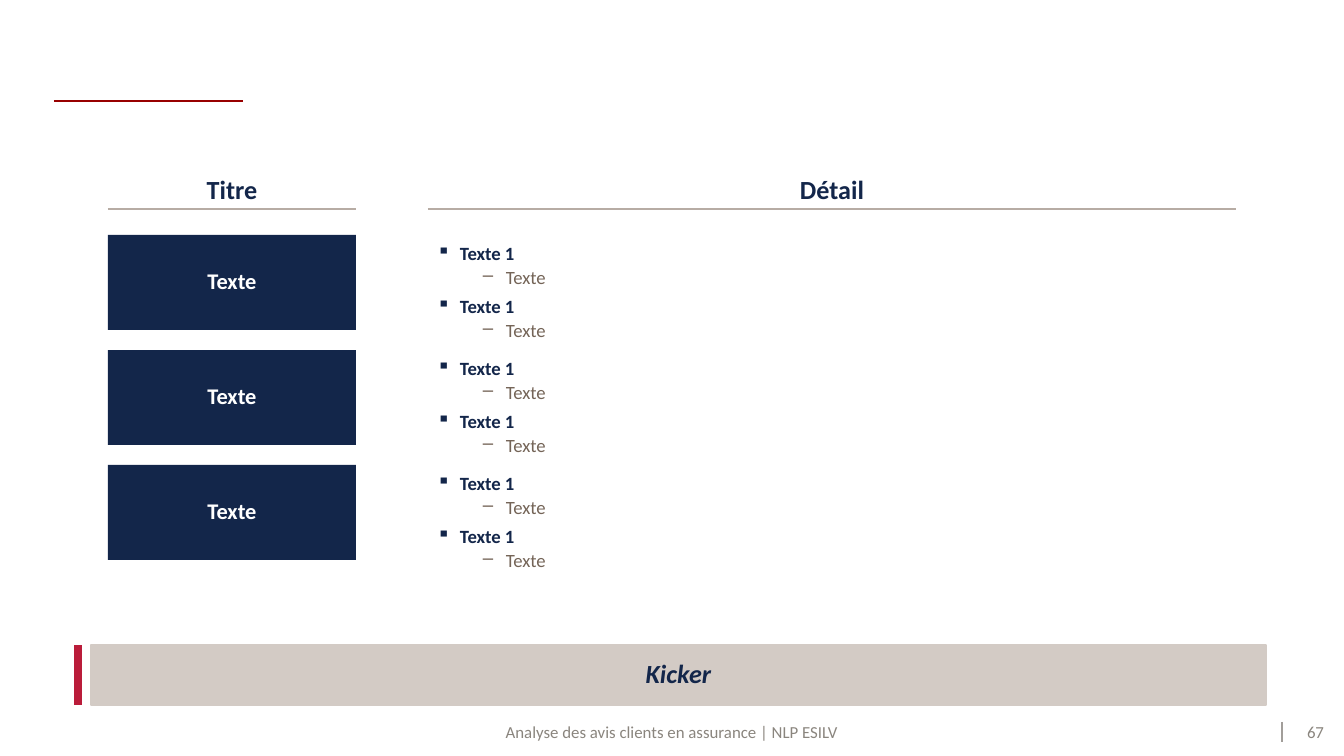
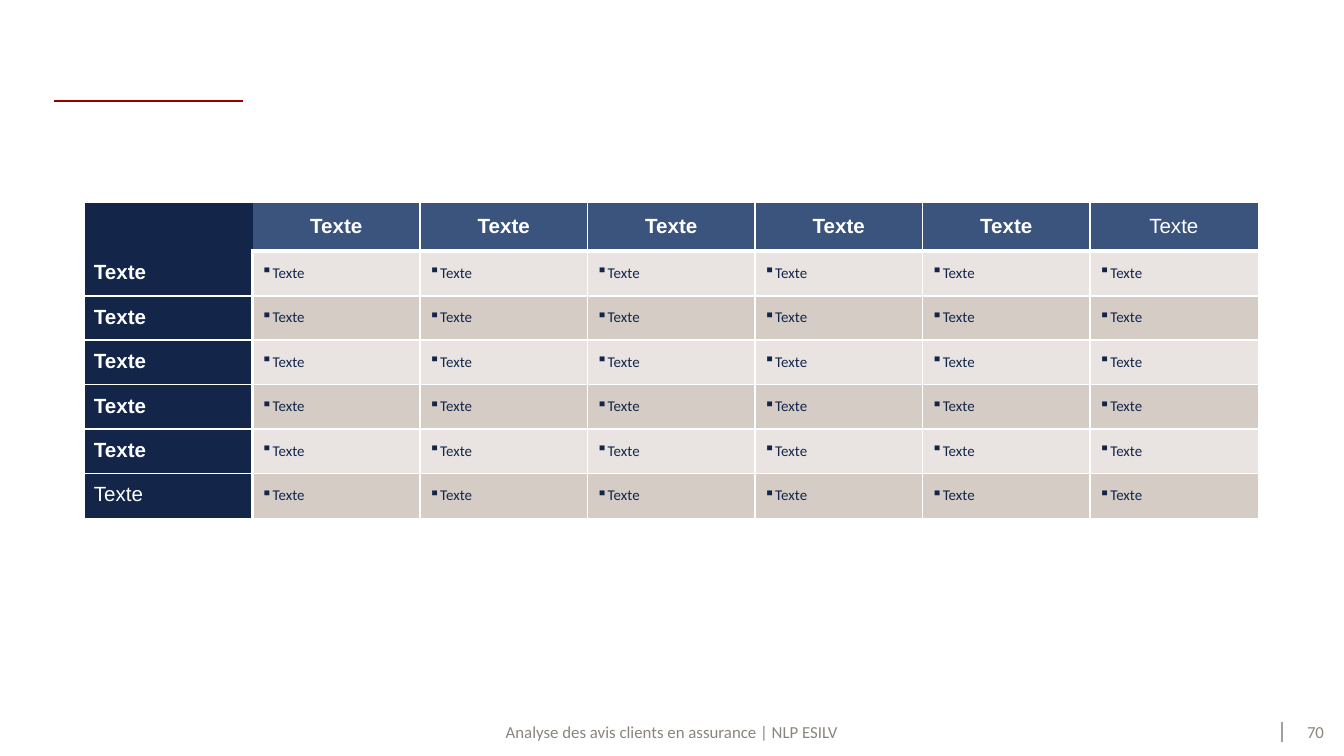
from dataclasses import dataclass

from lxml import etree
from pptx import Presentation
from pptx import util as u
from pptx.dml.color import RGBColor
from pptx.enum import shapes, text
from pptx.oxml.ns import qn

PX = 914400 / 134.4
LEFT, CENTER = text.PP_ALIGN.LEFT, text.PP_ALIGN.CENTER
TOP, MIDDLE, BOTTOM = (text.MSO_ANCHOR.TOP, text.MSO_ANCHOR.MIDDLE,
                       text.MSO_ANCHOR.BOTTOM)


@dataclass(frozen=True)
class Theme:
    navy: str = "13264A"
    blue: str = "3B547D"
    white: str = "FFFFFF"
    red: str = "BA1C3A"
    dark_red: str = "980000"
    sand: str = "D3CBC5"
    taupe: str = "B7ACA4"
    brown: str = "746457"
    footer: str = "8A857E"
    divider: str = "A29E9A"
    bands: tuple = ("E9E4E1", "D5CCC6")
    font: str = "Calibri"
    table_font: str = "Arial"
    heading_size: int = 14
    box_size: int = 12
    label_size: int = 11
    body_size: int = 10
    footer_size: int = 9
    cell_size: int = 8
    line_spacing: float = 0.9


THEME = Theme()


def px(n):
    return u.Emu(round(n * PX))


def rgb(color):
    return RGBColor.from_string(color)


def add_bullet(p, char, color, margin, hanging):
    pPr = p._p.get_or_add_pPr()
    pPr.set("marL", str(px(margin)))
    pPr.set("indent", str(-px(hanging)))
    clr = etree.SubElement(pPr, qn("a:buClr"))
    etree.SubElement(clr, qn("a:srgbClr")).set("val", color)
    etree.SubElement(pPr, qn("a:buChar")).set("char", char)


def write(tf, string, *, size, color, font=THEME.font, bold=False,
          italic=False, align=LEFT, level=0, before=None, bullet=None):
    """Fill the empty first paragraph, or add one; bullet is (char, margin, hanging)."""
    p = tf.paragraphs[0]
    if p.runs:
        p = tf.add_paragraph()
    if bullet:
        char, margin, hanging = bullet
        add_bullet(p, char, color, margin, hanging)
    p.level = level
    p.alignment = align
    p.line_spacing = THEME.line_spacing
    if before:
        p.space_before = u.Pt(before)
    r = p.add_run()
    r.text = string
    r.font.name = font
    r.font.size = u.Pt(size)
    r.font.bold = bold
    r.font.italic = italic
    r.font.color.rgb = rgb(color)


def set_margins(box, insets):
    (box.margin_left, box.margin_top,
     box.margin_right, box.margin_bottom) = map(px, insets)


def set_border(cell, side, width):
    """Draw one white cell edge; a width of 0 hides it."""
    ln = etree.SubElement(cell._tc.get_or_add_tcPr(), qn(f"a:ln{side}"))
    ln.set("w", str(u.Pt(width)))
    if width:
        fill = etree.SubElement(ln, qn("a:solidFill"))
        etree.SubElement(fill, qn("a:srgbClr")).set("val", THEME.white)
    else:
        etree.SubElement(ln, qn("a:noFill"))


class Deck:
    def __init__(self, theme):
        self.theme = theme
        self.prs = Presentation()
        self.prs.slide_width, self.prs.slide_height = px(1344), px(756)
        self.s = None

    def new_slide(self, number):
        t = self.theme
        self.s = self.prs.slides.add_slide(self.prs.slide_layouts[6])
        self.line(54, 101, 243, 101, t.dark_red, 1.25)
        self.line(1282, 722, 1282, 742, t.divider, 0.75)
        for x, w, string in (
                (439, 465, "Analyse des avis clients en assurance | NLP ESILV"),
                (1296, 39, str(number))):
            tf = self.textbox(x, 719, w, 28, (4, 4, 4, 4), MIDDLE)
            tf.auto_size = text.MSO_AUTO_SIZE.SHAPE_TO_FIT_TEXT
            write(tf, string, size=t.footer_size, color=t.footer, align=CENTER)

    def line(self, x1, y1, x2, y2, color, width):
        sp = self.s.shapes.add_connector(
            shapes.MSO_CONNECTOR.STRAIGHT, px(x1), px(y1), px(x2), px(y2))
        sp.line.color.rgb = rgb(color)
        sp.line.width = u.Pt(width)
        etree.SubElement(sp._element.spPr, qn("a:effectLst"))

    def textbox(self, x, y, w, h, insets, anchor=TOP):
        sp = self.s.shapes.add_textbox(px(x), px(y), px(w), px(h))
        tf = sp.text_frame
        tf.word_wrap = True
        tf.vertical_anchor = anchor
        set_margins(tf, insets)
        return tf

    def box(self, x, y, w, h, string, fill, outline=None, **fmt):
        sp = self.s.shapes.add_shape(
            shapes.MSO_SHAPE.RECTANGLE, px(x), px(y), px(w), px(h))
        sp.shadow.inherit = False
        sp.fill.solid()
        sp.fill.fore_color.rgb = rgb(fill)
        if outline:
            sp.line.color.rgb = rgb(outline)
            sp.line.width = u.Pt(0.75)
        else:
            sp.line.fill.background()
        tf = sp.text_frame
        tf.word_wrap = True
        tf.vertical_anchor = MIDDLE
        set_margins(tf, (12, 5, 12, 5))
        write(tf, string, bold=True, align=CENTER, **fmt)

    def column_heading(self, x, w, string):
        t = self.theme
        tf = self.textbox(x, 175, w, 34, (0, 0, 0, 4), BOTTOM)
        write(tf, string, size=t.heading_size, color=t.navy, bold=True,
              align=CENTER)
        self.line(x, 209, x + w, 209, t.taupe, 1.5)

    def details(self, x, y, w, h, items):
        """Bulleted list of (point, sub-point) pairs."""
        t = self.theme
        tf = self.textbox(x, y, w, h, (9, 9, 9, 9))
        for i, (point, sub) in enumerate(items):
            write(tf, point, size=t.body_size, color=t.navy, bold=True,
                  before=5 if i else None, bullet=("▪", 23, 23))
            write(tf, sub, size=t.body_size, color=t.brown, level=1,
                  before=2, bullet=("–", 69, 23))

    def kicker(self, string):
        t = self.theme
        self.box(91, 645, 1175, 60, string, t.sand, t.sand,
                 size=t.heading_size, color=t.navy, italic=True)
        self.line(78, 705, 78, 645, t.red, 4.5)

    def matrix(self, x, y, w, header_h, body_h, rows):
        """Table with a header row and a label column; the last of each is not bold."""
        t = self.theme
        n_rows, n_cols = len(rows), len(rows[0])
        table = self.s.shapes.add_table(
            n_rows, n_cols, px(x), px(y), px(w), px(header_h + body_h)).table
        table.first_row = table.horz_banding = False
        for column in table.columns:
            column.width = px(w / n_cols)
        for r, row in enumerate(table.rows):
            row.height = px(body_h / (n_rows - 1)) if r else px(header_h)

        def edge(along, across, count):
            """Width of the edge before position along, in line across."""
            if along in (0, count) or (along == 1 and across == 0):
                return 0
            return 2.25 if along == 1 else 1

        for r, row in enumerate(rows):
            for c, string in enumerate(row):
                cell = table.cell(r, c)
                cell.vertical_anchor = MIDDLE
                for side, width in (("L", edge(c, r, n_cols)),
                                    ("R", edge(c + 1, r, n_cols)),
                                    ("T", edge(r, c, n_rows)),
                                    ("B", edge(r + 1, c, n_rows))):
                    set_border(cell, side, width)
                label = dict(size=t.label_size, color=t.white,
                             font=t.table_font)
                if c == 0:
                    fill, insets = t.navy, (9, 4, 5, 4)
                    fmt = dict(label, bold=r < n_rows - 1)
                elif r == 0:
                    fill, insets = t.blue, (5, 4, 5, 4)
                    fmt = dict(label, bold=c < n_cols - 1, align=CENTER)
                else:
                    fill, insets = t.bands[(r - 1) % 2], (9, 4, 0, 4)
                    fmt = dict(size=t.cell_size, color=t.navy,
                               bullet=("▪", 9, 9))
                cell.fill.solid()
                cell.fill.fore_color.rgb = rgb(fill)
                set_margins(cell, insets)
                if string:
                    write(cell.text_frame, string, **fmt)


def title_detail_slide(deck):
    t = deck.theme
    deck.new_slide(67)
    deck.kicker("Kicker")
    title_x, title_w, detail_x, detail_w = 108, 248, 428, 808
    deck.column_heading(title_x, title_w, "Titre")
    deck.column_heading(detail_x, detail_w, "Détail")
    for i in range(3):
        y = 235 + 115 * i
        deck.box(title_x, y, title_w, 95, "Texte", t.navy,
                 size=t.box_size, color=t.white)
        deck.details(detail_x, y, detail_w, 95, [("Texte 1", "Texte")] * 2)


def matrix_slide(deck):
    deck.new_slide(70)
    rows = [[""] + ["Texte"] * 6] + [["Texte"] * 7] * 6
    deck.matrix(85, 203, 1173, 39, 267, rows)


def main():
    deck = Deck(THEME)
    title_detail_slide(deck)
    matrix_slide(deck)
    deck.prs.save("out.pptx")


if __name__ == "__main__":
    main()
